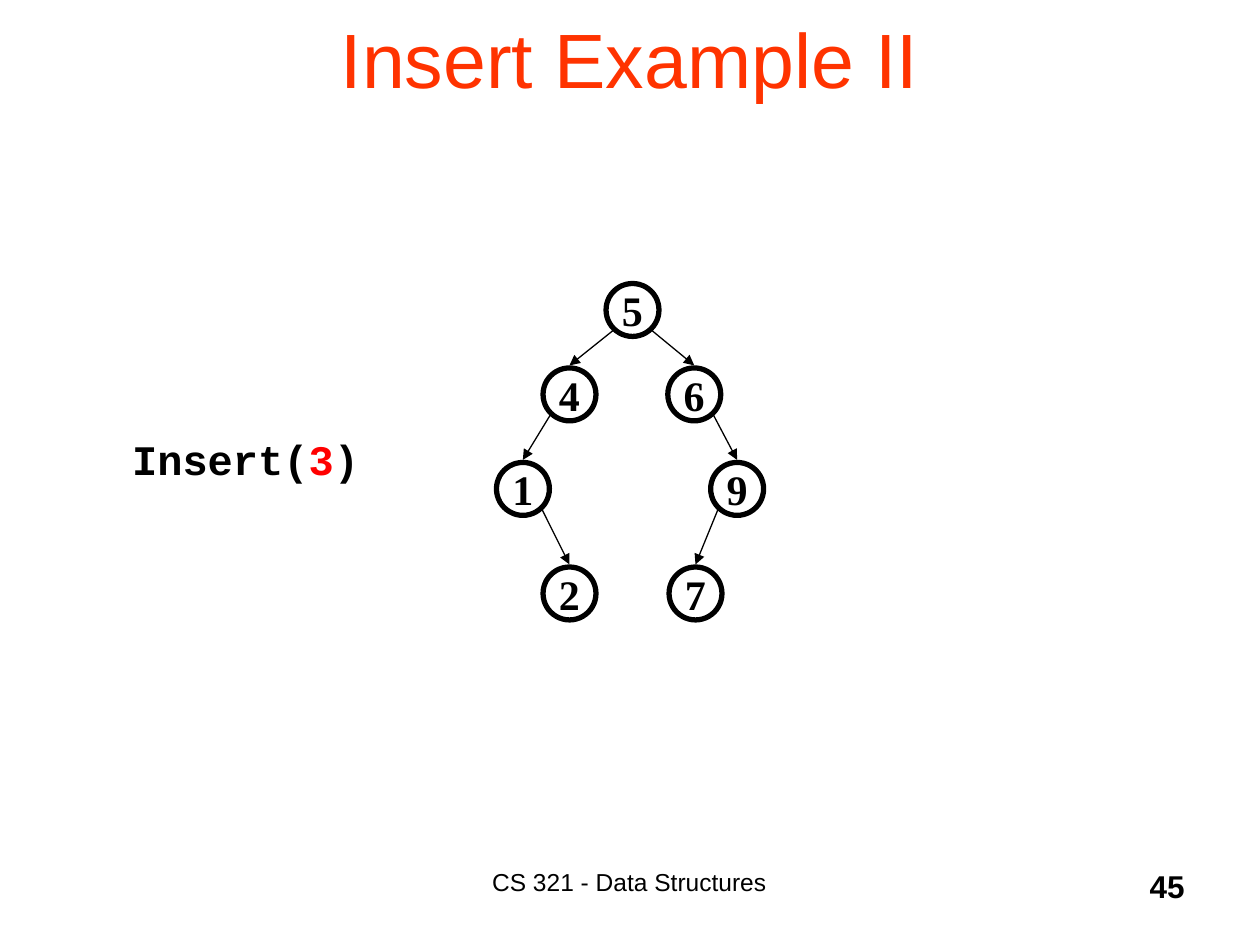
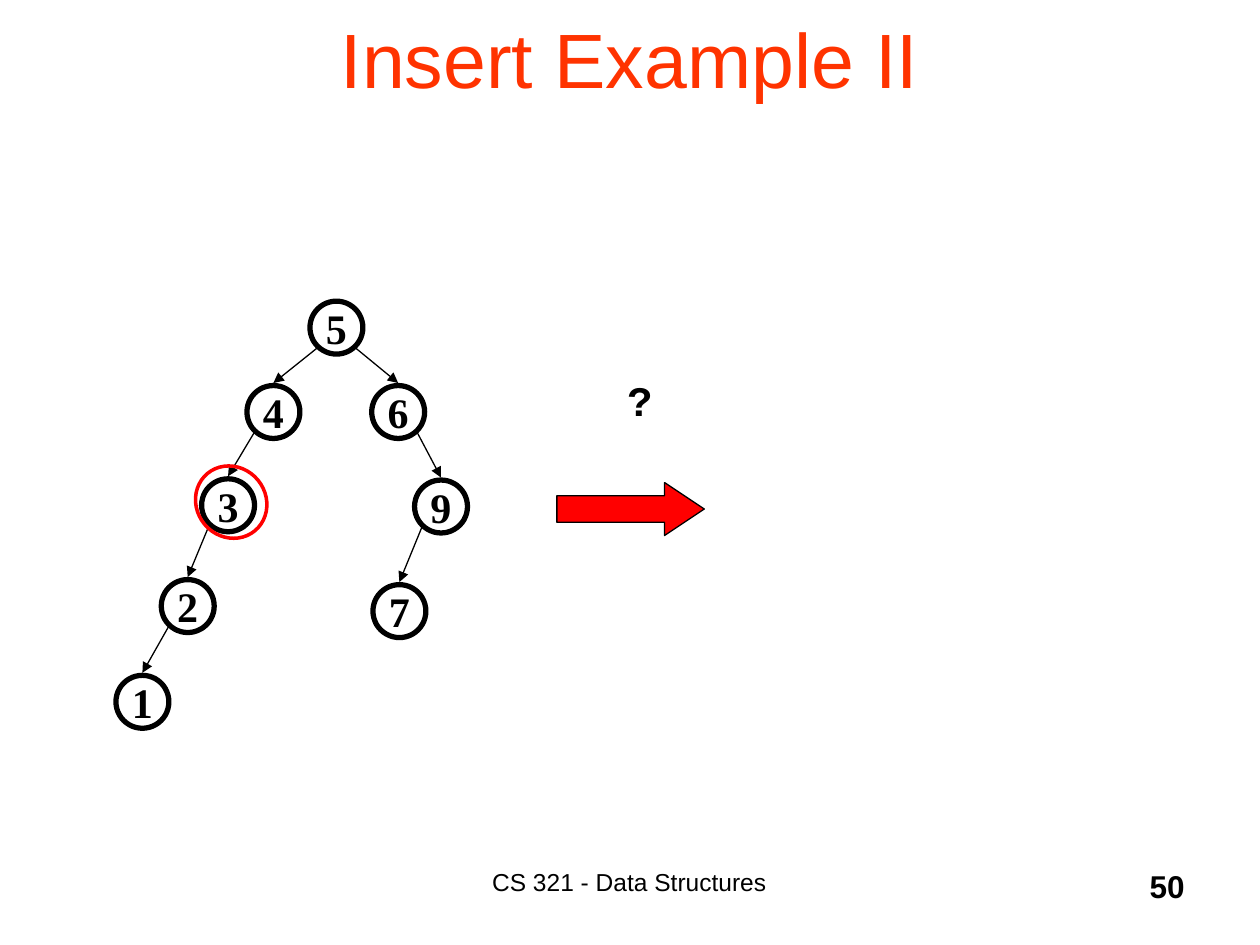
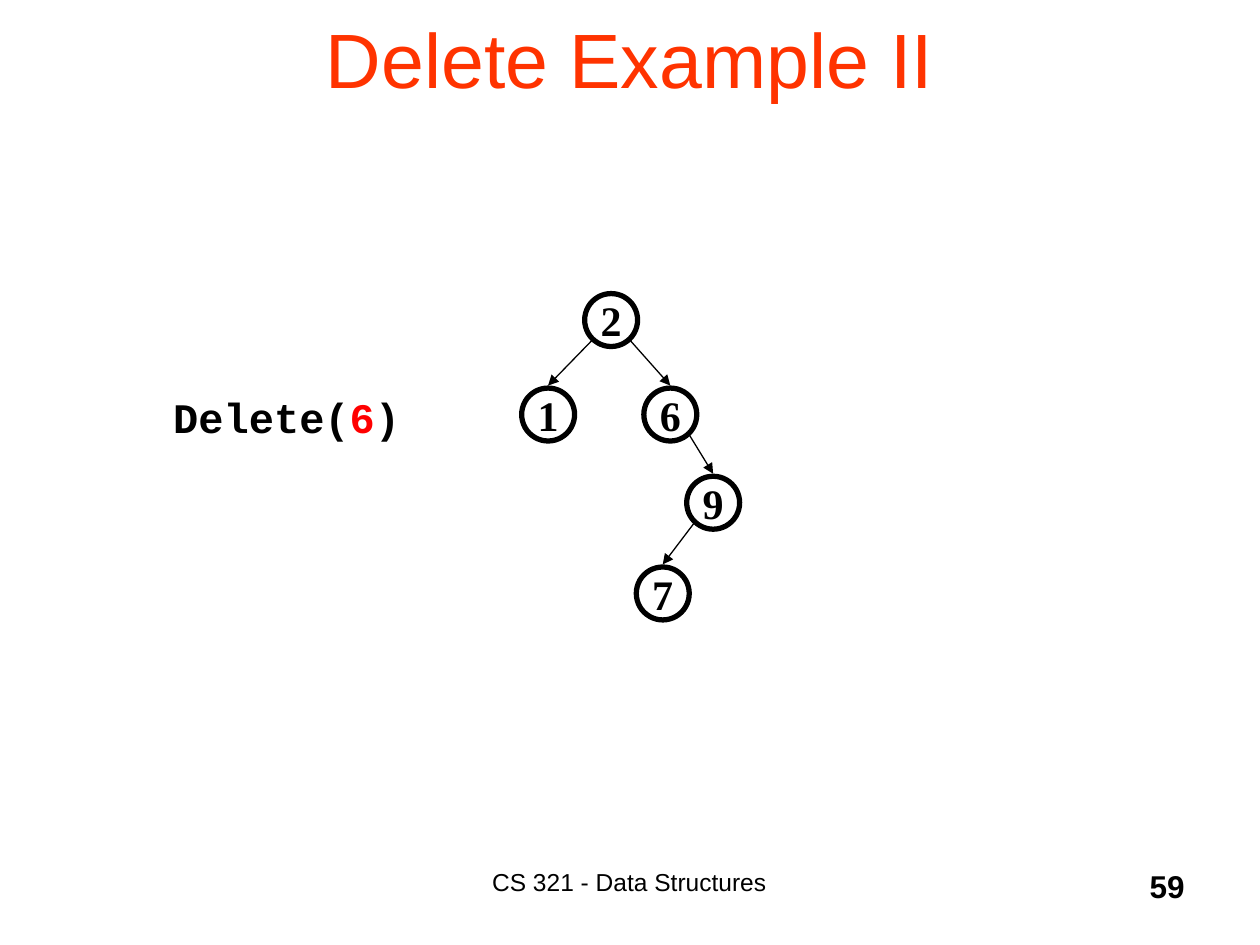
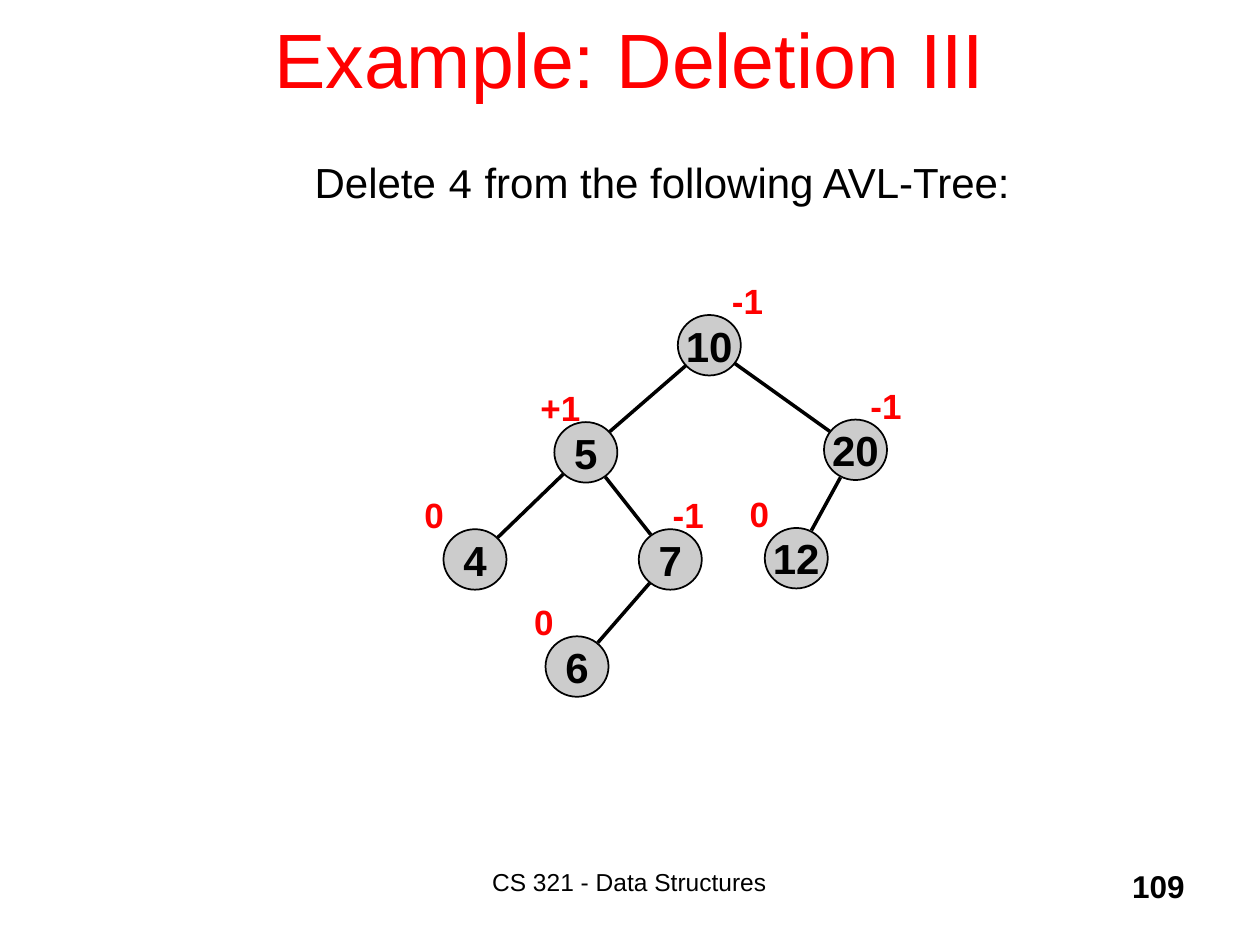
"""Builds four slides on inserting into and deleting from binary search trees."""
import math
from dataclasses import dataclass

import lxml.etree
import pptx
import pptx.dml.color
import pptx.enum.shapes
import pptx.enum.text
import pptx.oxml.ns
import pptx.shapes.autoshape
import pptx.slide
import pptx.text.text
import pptx.util

Inches = pptx.util.Inches
Pt = pptx.util.Pt
ALIGN = pptx.enum.text.PP_ALIGN
ANCHOR = pptx.enum.text.MSO_ANCHOR
SHAPE = pptx.enum.shapes.MSO_SHAPE

COLORS = {"black": "000000", "red": "FF0000", "title": "FF3300", "gray": "CCCCCC"}
COURSE = "CS 321 - Data Structures"
TITLE_ONLY_LAYOUT = 5


@dataclass(frozen=True)
class Span:
    text: str
    size: float
    font: str = "Arial"
    color: str = "black"
    bold: bool = False


@dataclass(frozen=True)
class Node:
    label: str
    dx: float = 0
    dy: float = 0
    parent: str = ""
    balance: str = ""
    balance_dx: float = 0


@dataclass(frozen=True)
class TreeStyle:
    width: float
    height: float
    font: str
    outline: float
    fill: str
    edge_width: float
    arrows: bool


SEARCH_TREE = TreeStyle(0.42, 0.42, "Times New Roman", 3, "", 0.75, True)
AVL_TREE = TreeStyle(0.5, 0.48, "Arial", 1, "gray", 2, False)

COMMON_NODES = [
    Node("5"),
    Node("4", -0.5, 0.67, "5"),
    Node("6", 0.49, 0.67, "5"),
    Node("9", 0.83, 1.42, "6"),
    Node("7", 0.5, 2.25, "9"),
]
BEFORE_INSERT = COMMON_NODES + [Node("1", -0.87, 1.42, "4"), Node("2", -0.5, 2.25, "1")]
AFTER_INSERT = COMMON_NODES + [
    Node("3", -0.86, 1.41, "4"),
    Node("2", -1.18, 2.21, "3"),
    Node("1", -1.54, 2.97, "2"),
]
BEFORE_DELETE = [
    Node("2"),
    Node("1", -0.5, 0.75, "2"),
    Node("6", 0.47, 0.75, "2"),
    Node("9", 0.81, 1.45, "6"),
    Node("7", 0.41, 2.17, "9"),
]
AVL_NODES = [
    Node("10", 0, 0, "", "-1", 0.33),
    Node("20", 1.16, 0.83, "10", "-1", 0.27),
    Node("5", -0.98, 0.85, "10", "+1", -0.21),
    Node("12", 0.69, 1.69, "20", "0", -0.22),
    Node("4", -1.86, 1.7, "5", "0", -0.25),
    Node("7", -0.31, 1.7, "5", "-1", 0.17),
    Node("6", -1.05, 2.55, "7", "0", -0.19),
]
BALANCE_DY = -0.33


def rgb(name: str) -> pptx.dml.color.RGBColor:
    return pptx.dml.color.RGBColor.from_string(COLORS[name])


def write(frame: pptx.text.text.TextFrame, spans: list[Span], align: ALIGN) -> None:
    paragraph = frame.paragraphs[0]
    paragraph.alignment = align
    for span in spans:
        run = paragraph.add_run()
        run.text = span.text
        run.font.size = Pt(span.size)
        run.font.name = span.font
        run.font.bold = span.bold
        run.font.color.rgb = rgb(span.color)


def add_text(slide: pptx.slide.Slide, left: float, top: float, width: float, height: float,
             spans: list[Span], align: ALIGN = ALIGN.CENTER) -> pptx.text.text.TextFrame:
    frame = slide.shapes.add_textbox(
        Inches(left), Inches(top), Inches(width), Inches(height)).text_frame
    frame.word_wrap = True
    write(frame, spans, align)
    return frame


def add_figure(slide: pptx.slide.Slide, kind: SHAPE, left: float, top: float, width: float,
               height: float, fill: str, line: str,
               line_width: float) -> pptx.shapes.autoshape.Shape:
    figure = slide.shapes.add_shape(
        kind, Inches(left), Inches(top), Inches(width), Inches(height))
    figure.shadow.inherit = False
    if fill:
        figure.fill.solid()
        figure.fill.fore_color.rgb = rgb(fill)
    else:
        figure.fill.background()
    figure.line.color.rgb = rgb(line)
    figure.line.width = Pt(line_width)
    return figure


def add_edge(slide: pptx.slide.Slide, parent: Node, child: Node, left: float, top: float,
             style: TreeStyle) -> None:
    run, rise = child.dx - parent.dx, child.dy - parent.dy
    x, y = left + style.width / 2, top + style.height / 2
    if style.arrows:
        start_x, start_y = math.copysign(0.15, run), 0.16
        end_x, end_y = 0, -style.height / 2 - 0.02
    else:
        reach = style.width / 2 / math.hypot(run, rise)
        start_x, start_y = run * reach, rise * reach
        end_x, end_y = -start_x, -start_y
    edge = slide.shapes.add_connector(
        pptx.enum.shapes.MSO_CONNECTOR.STRAIGHT,
        Inches(x + parent.dx + start_x), Inches(y + parent.dy + start_y),
        Inches(x + child.dx + end_x), Inches(y + child.dy + end_y))
    edge.line.color.rgb = rgb("black")
    edge.line.width = Pt(style.edge_width)
    qn = pptx.oxml.ns.qn
    if style.arrows:
        lxml.etree.SubElement(edge.line._get_or_add_ln(), qn("a:tailEnd"), type="triangle")
    lxml.etree.SubElement(edge._element.spPr, qn("a:effectLst"))


def add_tree(slide: pptx.slide.Slide, nodes: list[Node], left: float, top: float,
             style: TreeStyle) -> None:
    by_label = {node.label: node for node in nodes}
    for node in nodes:
        circle = add_figure(slide, SHAPE.OVAL, left + node.dx, top + node.dy,
                            style.width, style.height, style.fill, "black", style.outline)
        frame = circle.text_frame
        frame.word_wrap = False
        frame.vertical_anchor = ANCHOR.MIDDLE
        write(frame, [Span(node.label, 24, style.font, bold=True)], ALIGN.CENTER)
    for node in nodes:
        if node.parent:
            add_edge(slide, by_label[node.parent], node, left, top, style)
        if node.balance:
            add_text(slide, left + node.dx + node.balance_dx, top + node.dy + BALANCE_DY,
                     0.55, 0.44, [Span(node.balance, 20, color="red", bold=True)], ALIGN.LEFT)


def code_call(operation: str, key: str) -> list[Span]:
    return [
        Span(f"{operation}(", 24, "Courier New", bold=True),
        Span(key, 24, "Courier New", "red", True),
        Span(")", 24, "Courier New", bold=True),
    ]


def add_slide(deck: pptx.presentation.Presentation, heading: str, number: int,
              color: str = "title") -> pptx.slide.Slide:
    slide = deck.slides.add_slide(deck.slide_layouts[TITLE_ONLY_LAYOUT])
    title = slide.shapes.title
    title.left, title.top = Inches(0.75), Inches(-0.17)
    title.width, title.height = Inches(8.5), Inches(1.25)
    title.text_frame.vertical_anchor = ANCHOR.MIDDLE
    write(title.text_frame, [Span(heading, 44, color=color)], ALIGN.CENTER)
    add_text(slide, 3.08, 6.83, 3.83, 0.5, [Span(COURSE, 14)])
    add_text(slide, 7.42, 6.83, 2.08, 0.5, [Span(str(number), 18, bold=True)], ALIGN.RIGHT)
    return slide


def main() -> None:
    deck = pptx.Presentation()
    deck.slide_width, deck.slide_height = Inches(10), Inches(7.5)

    insert_start = add_slide(deck, "Insert Example II", 45)
    add_tree(insert_start, BEFORE_INSERT, 4.81, 2.25, SEARCH_TREE)
    call = add_text(insert_start, 0.95, 3.39, 2.02, 0.5, code_call("Insert", "3"), ALIGN.LEFT)
    call.word_wrap = False

    insert_step = add_slide(deck, "Insert Example II", 50)
    add_text(insert_step, 3.88, 2.92, 2.4, 0.5, [Span("?", 24, "Courier New", bold=True)])
    next_step = add_figure(insert_step, SHAPE.RIGHT_ARROW, 4.42, 3.83, 1.17, 0.42,
                           "red", "black", 0.75)
    next_step.adjustments[0] = 0.5
    next_step.adjustments[1] = 0.75
    add_tree(insert_step, AFTER_INSERT, 2.46, 2.39, SEARCH_TREE)
    unbalanced_ring = add_figure(insert_step, SHAPE.OVAL, 1.56, 3.69, 0.55, 0.59, "", "red", 2)
    unbalanced_ring.rotation = 320.5

    delete_start = add_slide(deck, "Delete Example II", 59)
    add_tree(delete_start, BEFORE_DELETE, 4.64, 2.33, SEARCH_TREE)
    add_text(delete_start, 1.25, 3.06, 2.05, 0.5, code_call("Delete", "6"))

    avl_deletion = add_slide(deck, "Example: Deletion III", 109, "red")
    add_tree(avl_deletion, AVL_NODES, 5.38, 2.5, AVL_TREE)
    task = add_text(avl_deletion, 1.82, 1.19, 6.43, 0.51, [
        Span("Delete ", 24),
        Span("4", 24, "Courier New"),
        Span(" from the following AVL-Tree:", 24),
    ])
    task.margin_left = Inches(0.54)

    deck.save("out.pptx")


if __name__ == "__main__":
    main()
